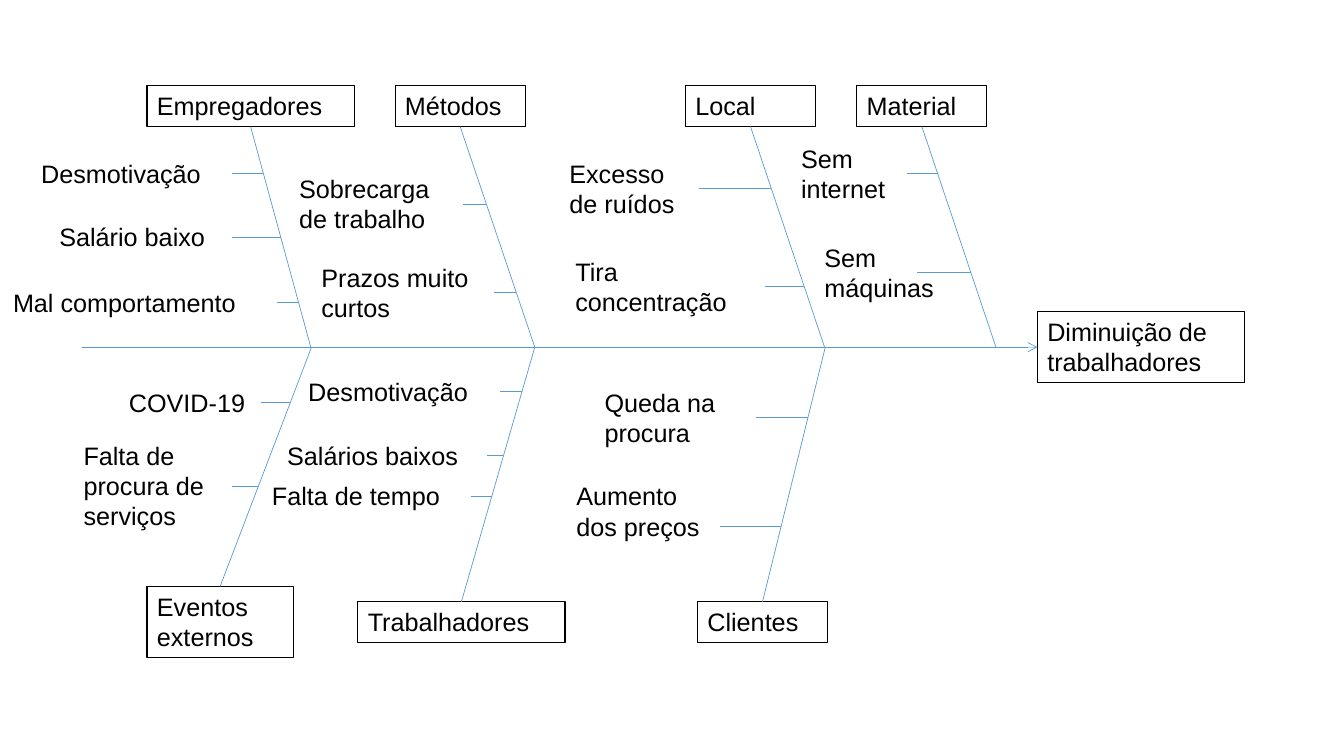
"""Build a fishbone diagram of the causes behind a falling number of workers."""
from dataclasses import dataclass

from lxml.etree import SubElement
from pptx import Presentation
from pptx.dml.color import RGBColor
from pptx.enum.shapes import MSO_CONNECTOR as Connector, MSO_SHAPE as Shape
from pptx.enum.text import MSO_ANCHOR as Anchor, PP_ALIGN as Align
from pptx.oxml.ns import qn
from pptx.util import Pt


@dataclass(frozen=True)
class Theme:
    """Colours, type and line widths of the diagram."""
    font: str = "Arial"
    size: float = 18
    text: RGBColor = RGBColor(0x00, 0x00, 0x00)
    bone: RGBColor = RGBColor(0x5B, 0x9B, 0xD5)
    box_line: float = 0.75
    bone_line: float = 0.5


THEME = Theme()
TOP, BOTTOM, LEFT, RIGHT = 0, 2, 1, 3
SPINE_Y = 248
HEAD_TOP = 61.2
FOOT_TOP = 429.8

# Category: name, left, top, width, lines, joint on the spine, causes.
# Cause: text, left, top, width, lines, overlap of its twig with the text box.
CATEGORIES = [
    ("Empregadores", 105, HEAD_TOP, 148, 1, 222, [
        ("Desmotivação", 22.3, 109.4, 143.3, 1, 0),
        ("Salário baixo", 35.3, 154.8, 130.3, 1, 0),
        ("Mal comportamento", 2.2, 201.6, 195.8, 1, 0),
    ]),
    ("Métodos", 282.2, HEAD_TOP, 93, 1, 382, [
        ("Sobrecarga de trabalho", 206.6, 120.2, 123.8, 2, 0),
        ("Prazos muito curtos", 222.5, 183.6, 130.3, 2, 0),
    ]),
    ("Local", 489.6, HEAD_TOP, 93, 1, 589, [
        ("Excesso de ruídos", 399.6, 109.4, 99.4, 2, 0),
        ("Tira concentração", 403.9, 179.3, 142.6, 2, 0),
    ]),
    ("Material", 612, HEAD_TOP, 93, 1, 711.4, [
        ("Sem internet", 565.2, 98.6, 98.6, 2, 16),
        ("Sem máquinas", 581.8, 169.2, 107.3, 2, 34),
    ]),
    ("Eventos externos", 105, 419, 104.4, 2, 222.5, [
        ("COVID-19", 85, 272.9, 101.5, 1, 0),
        ("Falta de procura de serviços", 52.6, 311, 113, 3, 0),
    ]),
    ("Trabalhadores", 255.6, FOOT_TOP, 148, 1, 382, [
        ("Desmotivação", 213.1, 265, 144, 1, 0),
        ("Salários baixos", 198, 311, 149.8, 1, 0),
        ("Falta de tempo", 187.2, 339.8, 149, 1, 0),
    ]),
    ("Clientes", 498.2, FOOT_TOP, 93, 1, 589.5, [
        ("Queda na procura", 424.8, 272.9, 115.2, 2, 0),
        ("Aumento dos preços", 404.6, 339.8, 109.4, 3, 0),
    ]),
]


def text_height(lines):
    """Return the height of a box that holds the given number of lines."""
    return 7.4 + 21.8 * lines


def write(shape, text):
    """Fill a shape with left-aligned text in the theme font."""
    frame = shape.text_frame
    frame.word_wrap = True
    frame.vertical_anchor = Anchor.TOP
    frame.text = text
    paragraph = frame.paragraphs[0]
    paragraph.alignment = Align.LEFT
    paragraph.font.name = THEME.font
    paragraph.font.size = Pt(THEME.size)
    paragraph.font.color.rgb = THEME.text


def add_box(slide, text, left, top, width, lines):
    """Add an outlined box with text."""
    box = slide.shapes.add_shape(
        Shape.RECTANGLE, Pt(left), Pt(top), Pt(width), Pt(text_height(lines)))
    box.shadow.inherit = False
    box.fill.background()
    box.line.color.rgb = THEME.text
    box.line.width = Pt(THEME.box_line)
    write(box, text)
    return box


def add_label(slide, text, left, top, width, lines):
    """Add a text box without an outline."""
    label = slide.shapes.add_textbox(
        Pt(left), Pt(top), Pt(width), Pt(text_height(lines)))
    write(label, text)
    return label


def add_bone(slide, start, end, arrow=False):
    """Add a thin straight line between two points."""
    bone = slide.shapes.add_connector(
        Connector.STRAIGHT, *(Pt(value) for value in (*start, *end)))
    bone.line.color.rgb = THEME.bone
    bone.line.width = Pt(THEME.bone_line)
    properties = bone.element.spPr
    if arrow:
        SubElement(properties.find(qn("a:ln")), qn("a:tailEnd"), type="arrow")
    SubElement(properties, qn("a:effectLst"))
    return bone


def add_cause(slide, cause, root, joint):
    """Add a cause and the twig that joins it to its bone."""
    text, left, top, width, lines, overlap = cause
    label = add_label(slide, text, left, top, width, lines)
    y = top + text_height(lines) / 2
    share = (y - root[1]) / (joint[1] - root[1])
    end = (root[0] + share * (joint[0] - root[0]), y)
    twig = add_bone(slide, (left + width - overlap, y), end)
    if not overlap:
        twig.begin_connect(label, RIGHT)


def add_category(slide, name, left, top, width, lines, joint_x, causes):
    """Add a category box, its bone and its causes."""
    box = add_box(slide, name, left, top, width, lines)
    above = top < SPINE_Y
    root = (left + width / 2, top + text_height(lines) if above else top)
    joint = (joint_x, SPINE_Y)
    add_bone(slide, root, joint).begin_connect(box, BOTTOM if above else TOP)
    for cause in causes:
        add_cause(slide, cause, root, joint)


def main():
    """Build and save the slide."""
    presentation = Presentation()
    presentation.slide_width = Pt(960)
    presentation.slide_height = Pt(540)
    slide = presentation.slides.add_slide(presentation.slide_layouts[6])
    effect = add_box(slide, "Diminuição de trabalhadores",
                     741, SPINE_Y - text_height(2) / 2, 148, 2)
    spine = add_bone(slide, (58.3, SPINE_Y), (741, SPINE_Y), arrow=True)
    spine.end_connect(effect, LEFT)
    for category in CATEGORIES:
        add_category(slide, *category)
    presentation.save("out.pptx")


if __name__ == "__main__":
    main()
